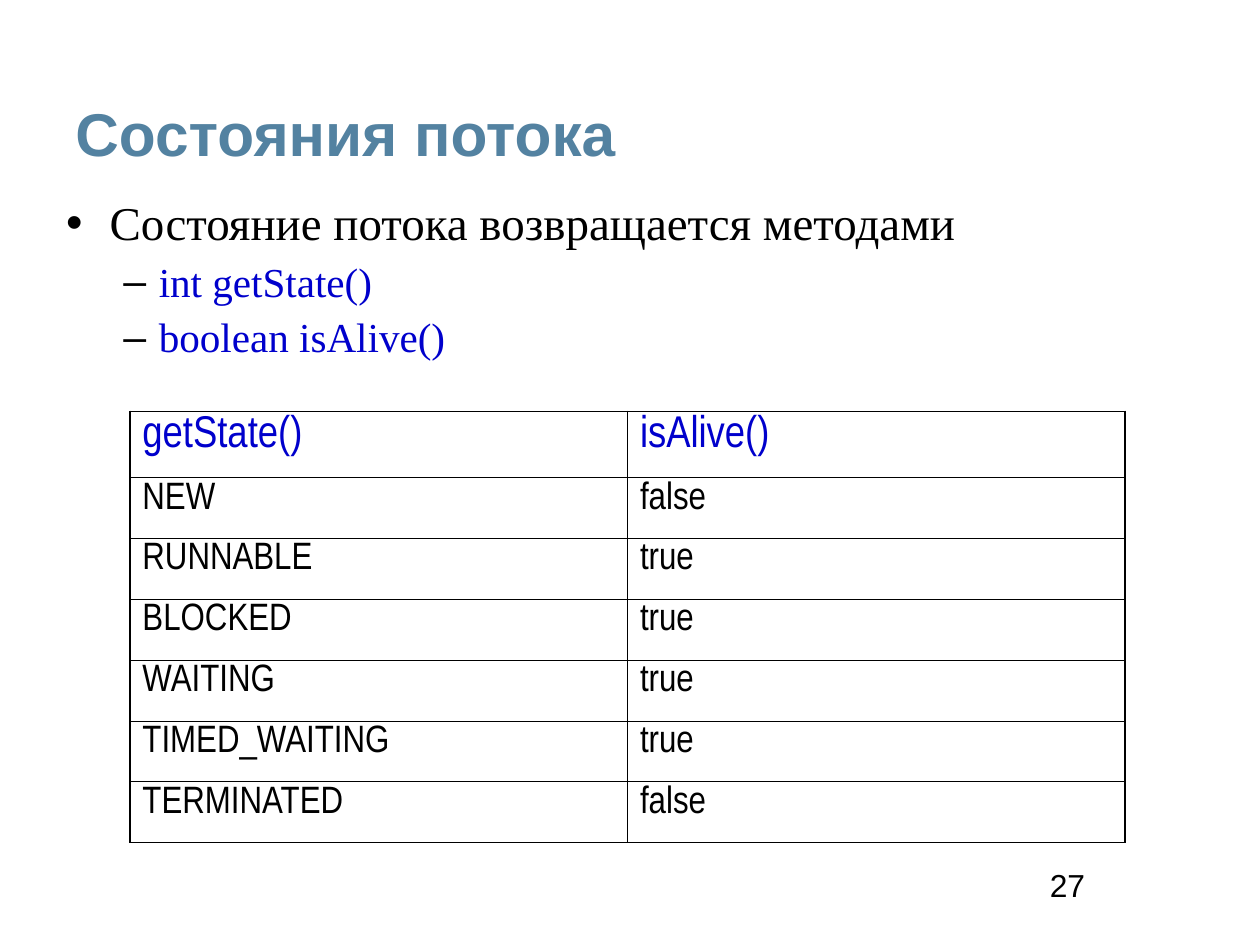
from dataclasses import dataclass

from lxml.etree import SubElement
from pptx import Presentation
from pptx.dml.color import RGBColor
from pptx.enum.text import MSO_ANCHOR as Anchor, MSO_AUTO_SIZE as AutoSize, PP_ALIGN as Align
from pptx.oxml import parse_xml
from pptx.oxml.ns import nsdecls, qn
from pptx.util import Cm, Emu, Inches, Pt

# Content
TITLE = "Состояния потока"
METHODS = [  # level, text
    (0, "Состояние потока возвращается методами"),
    (1, "int getState()"),
    (1, "boolean isAlive()"),
]
STATES = [
    ("getState()", "isAlive()"),
    ("NEW", "false"),
    ("RUNNABLE", "true"),
    ("BLOCKED", "true"),
    ("WAITING", "true"),
    ("TIMED_WAITING", "true"),
    ("TERMINATED", "false"),
]
PAGE = "27"


@dataclass(frozen=True)
class Theme:
    black: str = "000000"
    code: str = "0000CC"
    heading: str = "5382A1"
    sans: str = "Arial"
    narrow: str = "Arial Narrow"
    serif: str = "Times New Roman"
    title_size: float = 38
    header_size: float = 28
    cell_size: float = 24
    page_size: float = 20
    outer_line: float = 1.08
    inner_line: float = 0.45


THEME = Theme()

# Each level: size, colour, bullet, text indent, hanging (inches), space before
LEVELS = [
    (29.6, THEME.black, "•", 0.38, 0.38, 8),
    (25.9, THEME.code, "–", 0.81, 0.31, 7),
]

# Places in percent of the slide: left, top, width, height
WIDTH, HEIGHT = Cm(28), Cm(21)
TITLE_AREA = (4.99, 10.88, 87.3, 9.19)
METHODS_AREA = (4.26, 20.43, 89.02, 20.92)
STATES_AREA = (10.31, 43.53, 78.98, 45.65)
PAGE_AREA = (82.42, 91.62, 13.34, 4.72)
ROW_SHARES = [12] + [11] * (len(STATES) - 1)


def place(area):
    sides = (WIDTH, HEIGHT, WIDTH, HEIGHT)
    return [Emu(round(side * share / 100)) for side, share in zip(sides, area)]


def set_margins(holder, across, down):
    holder.margin_left = holder.margin_right = Inches(across)
    holder.margin_top = holder.margin_bottom = Inches(down)


def style(paragraph, face, size, color, spacing, bold=False):
    paragraph.alignment = Align.LEFT
    paragraph.line_spacing = spacing
    font = paragraph.font
    font.name, font.size, font.bold = face, Pt(size), bold
    font.color.rgb = RGBColor.from_string(color)


def add_bullet(paragraph, char, indent, hanging):
    props = paragraph._p.get_or_add_pPr()
    props.set("marL", str(Inches(indent)))
    props.set("indent", str(-Inches(hanging)))
    SubElement(SubElement(props, qn("a:buClr")), qn("a:srgbClr"), val=THEME.black)
    SubElement(props, qn("a:buFont"), typeface=THEME.sans)
    SubElement(props, qn("a:buChar"), char=char)


def add_borders(cell, outer):
    props = cell._tc.get_or_add_tcPr()
    for index, side in enumerate("LRTB"):
        width = Pt(THEME.outer_line if side in outer else THEME.inner_line)
        props.insert(index, parse_xml(
            f'<a:ln{side} {nsdecls("a")} w="{width}"><a:solidFill>'
            f'<a:srgbClr val="{THEME.black}"/></a:solidFill></a:ln{side}>'))


def add_title(slide):
    title = slide.shapes.title
    title.left, title.top, title.width, title.height = place(TITLE_AREA)
    frame = title.text_frame
    frame.text = TITLE
    frame.auto_size = AutoSize.NONE
    frame.vertical_anchor = Anchor.MIDDLE
    set_margins(frame, 0.11, 0.06)
    style(frame.paragraphs[0], THEME.sans, THEME.title_size, THEME.heading, 0.46, bold=True)


def add_methods(slide):
    frame = slide.shapes.add_textbox(*place(METHODS_AREA)).text_frame
    frame.word_wrap = True
    set_margins(frame, 0.11, 0.06)
    for index, (level, text) in enumerate(METHODS):
        size, color, char, indent, hanging, before = LEVELS[level]
        method = frame.add_paragraph() if index else frame.paragraphs[0]
        method.text = text
        method.level = level
        add_bullet(method, char, indent, hanging)
        style(method, THEME.serif, size, color, 0.9)
        if index:
            method.space_before = Pt(before)


def add_states(slide):
    rows, columns = len(STATES), len(STATES[0])
    left, top, width, height = place(STATES_AREA)
    states = slide.shapes.add_table(rows, columns, left, top, width, height).table
    states.first_row = states.horz_banding = False
    for column in states.columns:
        column.width = Emu(width // columns)
    for r, values in enumerate(STATES):
        states.rows[r].height = Emu(height * ROW_SHARES[r] // sum(ROW_SHARES))
        size, color = (THEME.cell_size, THEME.black) if r else (THEME.header_size, THEME.code)
        for c, value in enumerate(values):
            cell = states.cell(r, c)
            cell.text = value
            cell.fill.background()
            set_margins(cell, 0.11, 0.05)
            style(cell.text_frame.paragraphs[0], THEME.narrow, size, color, 0.9)
            outer = ("L" if c == 0 else "") + ("R" if c == columns - 1 else "")
            outer += ("T" if r == 0 else "") + ("B" if r == rows - 1 else "")
            add_borders(cell, outer)


def add_page_number(slide):
    frame = slide.shapes.add_textbox(*place(PAGE_AREA)).text_frame
    frame.word_wrap = True
    set_margins(frame, 0.1, 0.05)
    frame.text = PAGE
    style(frame.paragraphs[0], THEME.sans, THEME.page_size, THEME.black, 0.87)


def main():
    deck = Presentation()
    deck.slide_width, deck.slide_height = WIDTH, HEIGHT
    slide = deck.slides.add_slide(deck.slide_layouts.get_by_name("Title Only"))
    add_page_number(slide)
    add_title(slide)
    add_methods(slide)
    add_states(slide)
    deck.save("out.pptx")


if __name__ == "__main__":
    main()
